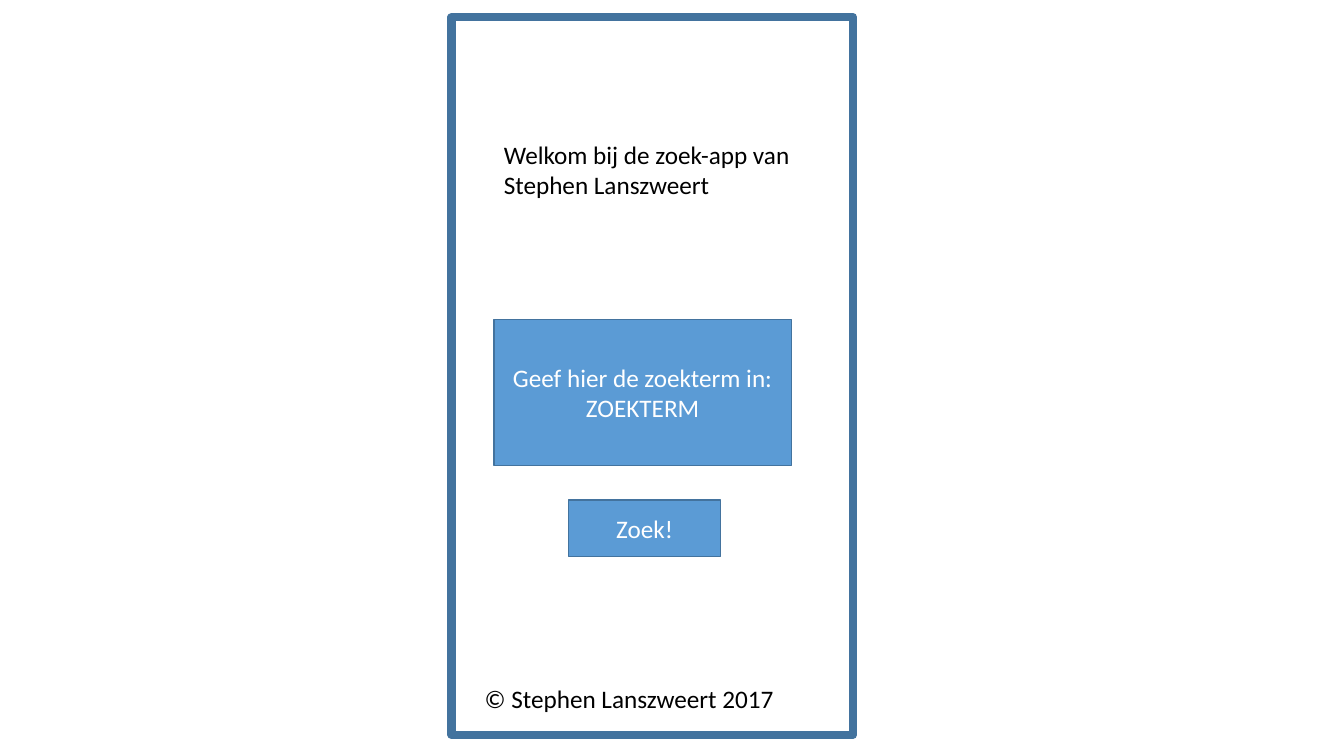
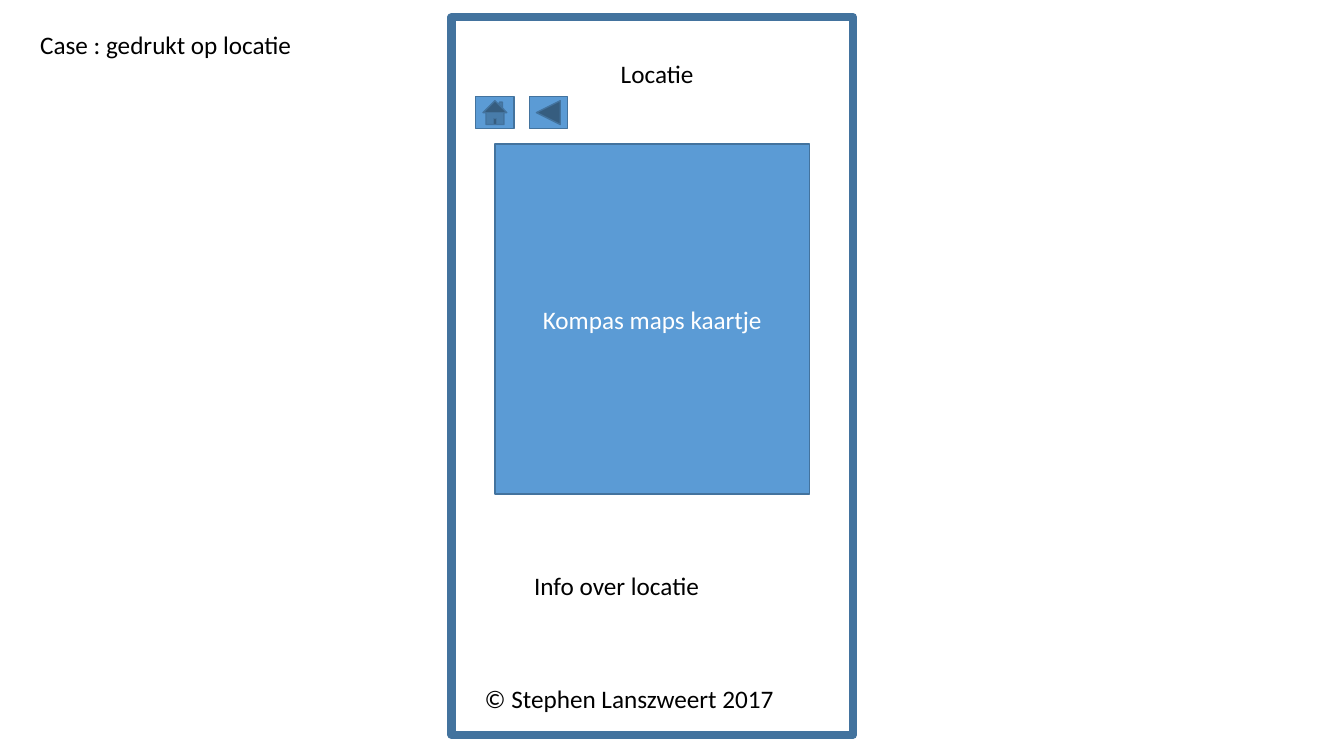
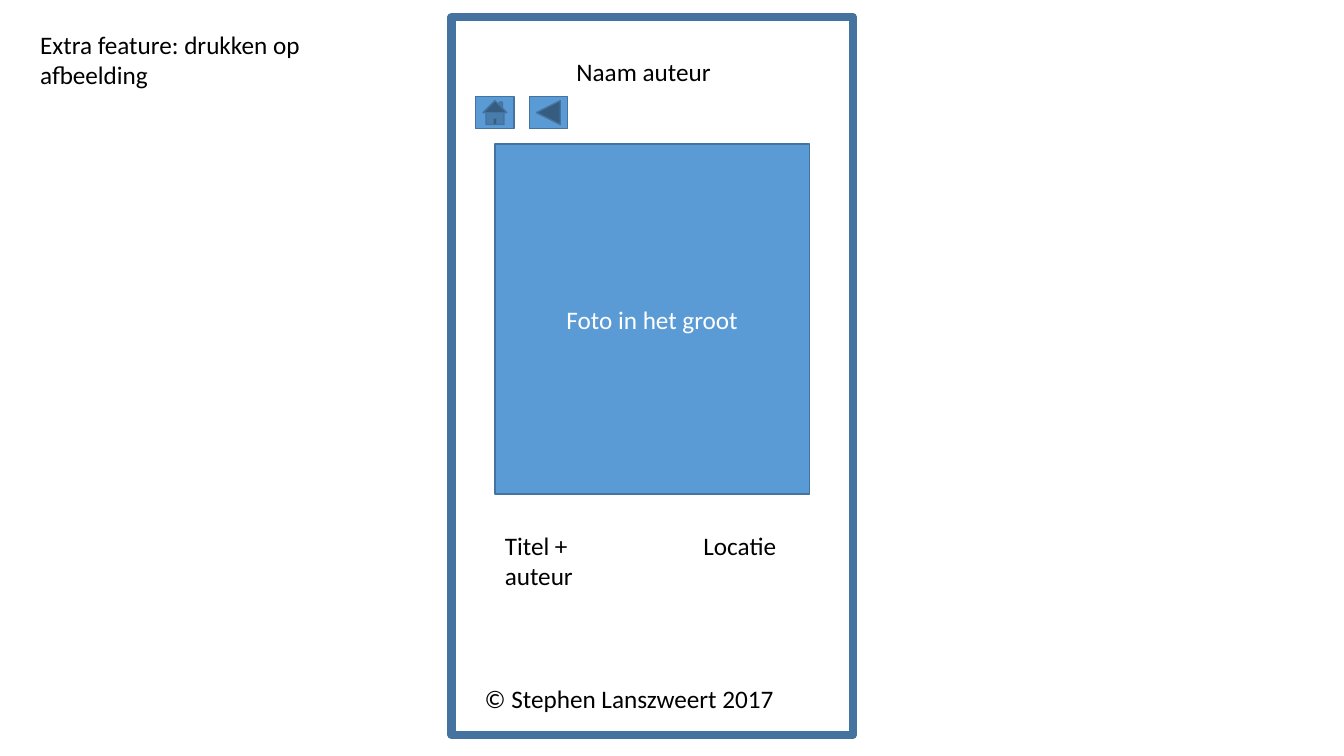
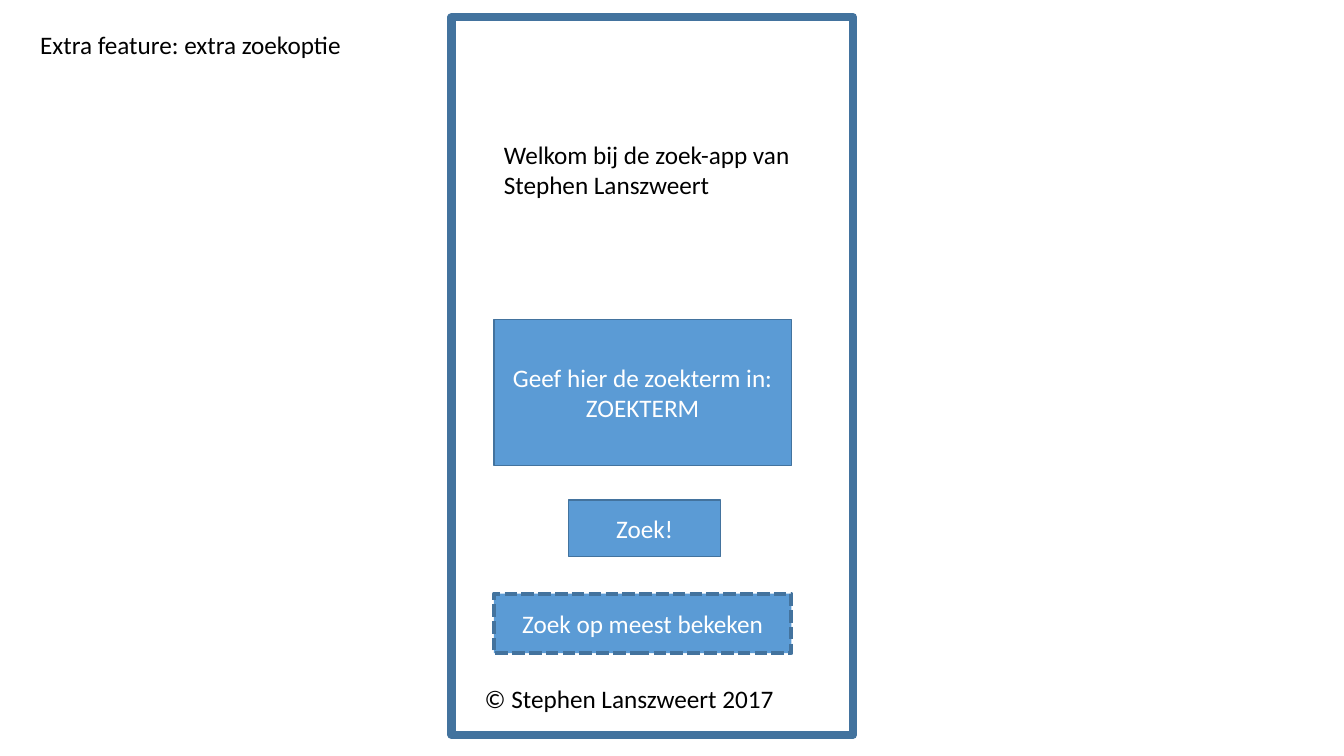
from dataclasses import dataclass

from pptx import Presentation
from pptx.dml.color import RGBColor
from pptx.enum.dml import MSO_LINE
from pptx.enum.shapes import MSO_SHAPE
from pptx.enum.text import MSO_ANCHOR, MSO_AUTO_SIZE, PP_ALIGN
from pptx.slide import Slide
from pptx.text.text import TextFrame
from pptx.util import Inches, Pt

RECTANGLE = MSO_SHAPE.RECTANGLE
HOME = MSO_SHAPE.ACTION_BUTTON_HOME
BACK = MSO_SHAPE.ACTION_BUTTON_BACK_OR_PREVIOUS
DASH = MSO_LINE.SQUARE_DOT
MIDDLE = MSO_ANCHOR.MIDDLE
LEFT, CENTER = PP_ALIGN.LEFT, PP_ALIGN.CENTER
GROW = MSO_AUTO_SIZE.SHAPE_TO_FIT_TEXT

COLORS = {"fill": "5B9BD5", "line": "43739E", "text": "000000", "label": "FFFFFF"}
FONT, FONT_SIZE = "Calibri", 18

# The grid has square cells; every position is in columns and rows
CELL = Inches(0.1)
COLUMNS, ROWS = 133.33, 75
ONE_LINE, TWO_LINES = 4, 7.1


@dataclass(frozen=True)
class Box:
    column: float
    row: float
    columns: float
    rows: float

    def lengths(self) -> list[int]:
        return [round(cells * CELL) for cells in (self.column, self.row, self.columns, self.rows)]


@dataclass(frozen=True)
class Panel:
    box: Box
    lines: tuple[str, ...] = ()
    preset: MSO_SHAPE = RECTANGLE
    line_width: float = 1
    filled: bool = True
    dashed: bool = False


@dataclass(frozen=True)
class Caption:
    box: Box
    lines: tuple[str, ...]


Part = Panel | Caption

# Parts shared by several screens
FRAME = Panel(Box(44.8, 1.7, 39.8, 71.2), line_width=6, filled=False)
COPYRIGHT = Caption(Box(47.1, 67.3, 35.3, ONE_LINE), ("© Stephen Lanszweert 2017",))
SEARCH_PARTS: tuple[Part, ...] = (
    Caption(Box(49, 13.3, 31.3, TWO_LINES), ("Welkom bij de zoek-app van Stephen Lanszweert",)),
    Panel(Box(49, 31.7, 29.5, 14.5), ("Geef hier de zoekterm in:", "ZOEKTERM")),
    Panel(Box(56.4, 49.6, 15.1, 5.6), ("Zoek!",)),
)
NAVIGATION: tuple[Part, ...] = (
    Panel(Box(47.2, 9.6, 3.8, 3.15), preset=HOME),
    Panel(Box(52.5, 9.6, 3.8, 3.15), preset=BACK),
)


def case_note(text: str, rows: float = ONE_LINE) -> Caption:
    return Caption(Box(3, 2.4, 35.1, rows), (text,))


def detail_parts(label: str) -> tuple[Part, ...]:
    return (Panel(Box(49.1, 14.3, 31.2, 34.7), (label,)), *NAVIGATION)


# One tuple of parts for each screen
SCREENS: tuple[tuple[Part, ...], ...] = (
    SEARCH_PARTS,
    (
        case_note("Case : gedrukt op locatie"),
        *detail_parts("Kompas maps kaartje"),
        Caption(Box(60.6, 5.3, 21.4, ONE_LINE), ("Locatie",)),
        Caption(Box(52, 56.1, 25.3, ONE_LINE), ("Info over locatie",)),
    ),
    (
        case_note("Extra feature: drukken op afbeelding", TWO_LINES),
        *detail_parts("Foto in het groot"),
        Caption(Box(56.2, 5.1, 21.4, ONE_LINE), ("Naam auteur",)),
        Caption(Box(49.1, 52.1, 25, TWO_LINES), ("Titel +", "auteur")),
        Caption(Box(68.8, 52.1, 12.4, ONE_LINE), ("Locatie",)),
    ),
    (
        case_note("Extra feature: extra zoekoptie"),
        *SEARCH_PARTS,
        Panel(Box(49, 58.9, 29.5, 5.9), ("Zoek op meest bekeken",), line_width=3, dashed=True),
    ),
)


def color(name: str) -> RGBColor:
    return RGBColor.from_string(COLORS[name])


def write_lines(frame: TextFrame, lines: tuple[str, ...], color_name: str, alignment: PP_ALIGN) -> None:
    frame.word_wrap = True
    for index, line in enumerate(lines):
        paragraph = frame.add_paragraph() if index else frame.paragraphs[0]
        paragraph.alignment = alignment
        run = paragraph.add_run()
        run.text = line
        run.font.name = FONT
        run.font.size = Pt(FONT_SIZE)
        run.font.color.rgb = color(color_name)


def draw_panel(slide: Slide, panel: Panel) -> None:
    shape = slide.shapes.add_shape(panel.preset, *panel.box.lengths())
    shape.shadow.inherit = False
    if panel.filled:
        shape.fill.solid()
        shape.fill.fore_color.rgb = color("fill")
    else:
        shape.fill.background()
    shape.line.color.rgb = color("line")
    shape.line.width = Pt(panel.line_width)
    if panel.dashed:
        shape.line.dash_style = DASH
    shape.text_frame.vertical_anchor = MIDDLE
    write_lines(shape.text_frame, panel.lines, "label", CENTER)


def draw_caption(slide: Slide, caption: Caption) -> None:
    shape = slide.shapes.add_textbox(*caption.box.lengths())
    shape.text_frame.auto_size = GROW
    write_lines(shape.text_frame, caption.lines, "text", LEFT)


def draw_screen(slide: Slide, parts: tuple[Part, ...]) -> None:
    for part in (FRAME, *parts, COPYRIGHT):
        if isinstance(part, Panel):
            draw_panel(slide, part)
        else:
            draw_caption(slide, part)


def main() -> None:
    presentation = Presentation()
    presentation.slide_width = round(COLUMNS * CELL)
    presentation.slide_height = ROWS * CELL
    blank_layout = presentation.slide_layouts[6]
    for parts in SCREENS:
        draw_screen(presentation.slides.add_slide(blank_layout), parts)
    presentation.save("out.pptx")


if __name__ == "__main__":
    main()
